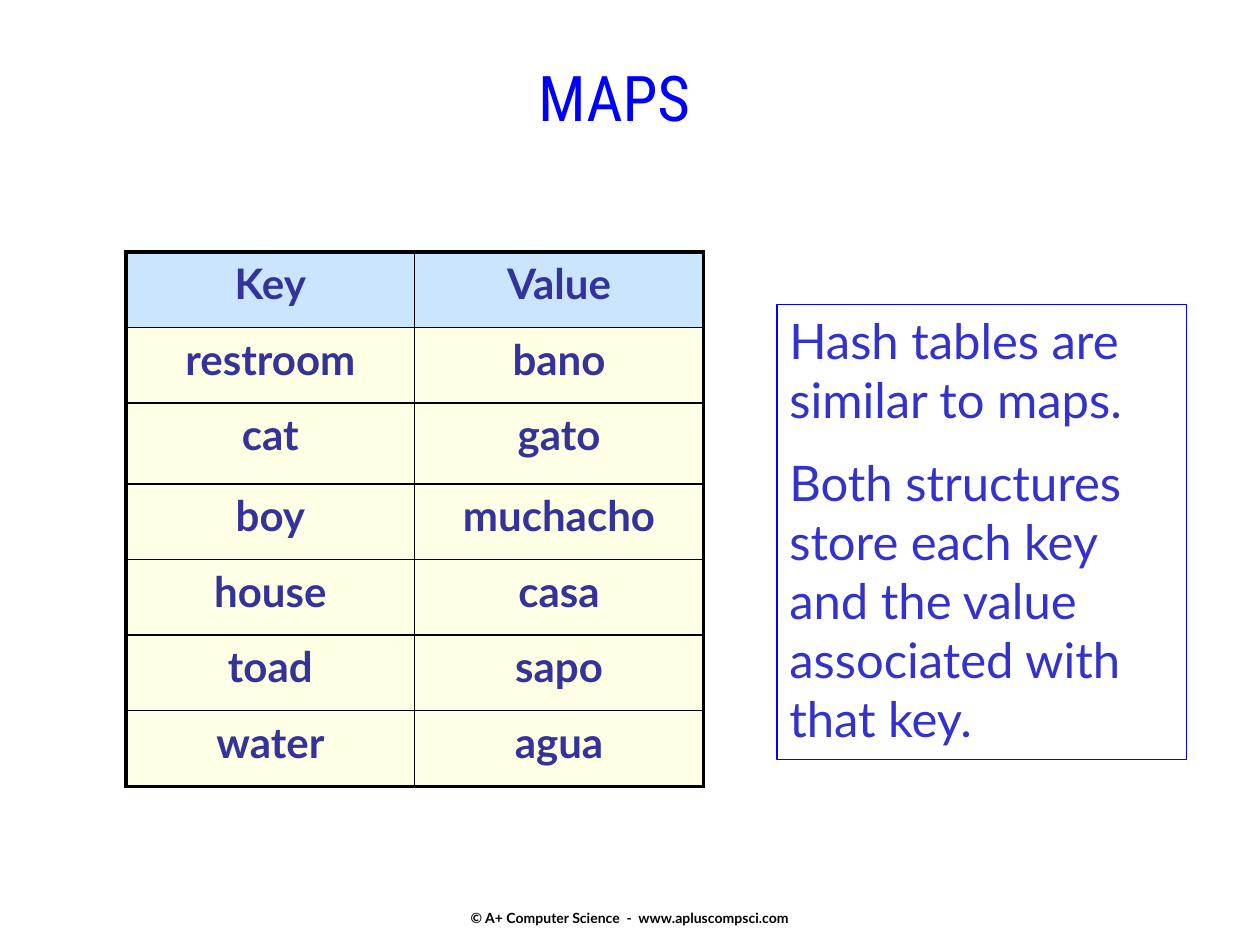
"""Builds the slide on maps: a key-value table beside a note on hash tables."""
from lxml import etree
from pptx import Presentation
from pptx.dml.color import RGBColor
from pptx.enum.text import MSO_ANCHOR, MSO_AUTO_SIZE, PP_ALIGN
from pptx.oxml.ns import qn
from pptx.util import Pt

LEFT, CENTER = PP_ALIGN.LEFT, PP_ALIGN.CENTER
TOP, MIDDLE = MSO_ANCHOR.TOP, MSO_ANCHOR.MIDDLE
FIXED, GROW = MSO_AUTO_SIZE.NONE, MSO_AUTO_SIZE.SHAPE_TO_FIT_TEXT

BLACK = RGBColor(0x00, 0x00, 0x00)
BLUE = RGBColor(0x00, 0x00, 0xFF)
INDIGO = RGBColor(0x33, 0x33, 0xCC)
NAVY = RGBColor(0x33, 0x33, 0x99)
SKY = RGBColor(0x99, 0xCC, 0xFF)
CREAM = RGBColor(0xFF, 0xFF, 0xCC)

WORDS = [
    ("Key", "Value"),
    ("restroom", "bano"),
    ("cat", "gato"),
    ("boy", "muchacho"),
    ("house", "casa"),
    ("toad", "sapo"),
    ("water", "agua"),
]
ROW_HEIGHTS = [43.2, 43.2, 46.08, 43.2, 43.2, 43.2, 43.2]
NOTE = [
    "Hash tables are similar to maps.",
    "Both structures store each key and the value associated with that key.",
]


def write(frame, *lines, size, color, font="Lato", bold=False, align=LEFT, gap=0):
    for index, line in enumerate(lines):
        paragraph = frame.add_paragraph() if index else frame.paragraphs[0]
        paragraph.alignment = align
        paragraph.space_before = Pt(gap if index else 0)
        run = paragraph.add_run()
        run.text = line
        run.font.name, run.font.size, run.font.bold = font, Pt(size), bold
        run.font.color.rgb = color


def set_borders(cell, widths):
    properties = cell._tc.get_or_add_tcPr()
    for index, (side, width) in enumerate(widths.items()):
        border = etree.Element(qn(f"a:ln{side}"), w=str(Pt(width)))
        fill = etree.SubElement(border, qn("a:solidFill"))
        etree.SubElement(fill, qn("a:srgbClr"), val=str(BLACK))
        properties.insert(index, border)


def set_tint(cell, color):
    cell.fill.solid()
    cell.fill.fore_color.rgb = color
    swatch = cell._tc.tcPr.find(f".//{qn('a:srgbClr')}")
    etree.SubElement(swatch, qn("a:alpha"), val="50000")


class Deck:
    def __init__(self, width, height):
        self.presentation = Presentation()
        self.presentation.slide_width = Pt(width)
        self.presentation.slide_height = Pt(height)
        layout = self.presentation.slide_layouts[5]
        self.slide = self.presentation.slides.add_slide(layout)

    def title(self, text, left, top, width, height):
        heading = self.slide.shapes.title
        heading.left, heading.top = Pt(left), Pt(top)
        heading.width, heading.height = Pt(width), Pt(height)
        frame = heading.text_frame
        frame.word_wrap, frame.auto_size = False, FIXED
        frame.vertical_anchor = TOP
        write(frame, text, size=36, color=BLUE, font="Roboto Condensed", align=CENTER)

    def table(self, rows, heights, left, top, width):
        last_row, last_column = len(rows) - 1, len(rows[0]) - 1
        frame = self.slide.shapes.add_table(
            len(rows), len(rows[0]), Pt(left), Pt(top), Pt(width), Pt(sum(heights)))
        grid = frame.table
        grid.first_row = grid.horz_banding = False
        for r, (words, height) in enumerate(zip(rows, heights)):
            grid.rows[r].height = Pt(height)
            for c, word in enumerate(words):
                cell = grid.cell(r, c)
                edges = {"L": c == 0, "R": c == last_column, "T": r == 0, "B": r == last_row}
                set_tint(cell, CREAM if r else SKY)
                set_borders(cell, {side: 2.25 if outer else 1 for side, outer in edges.items()})
                write(cell.text_frame, word, size=24, color=NAVY, bold=True, align=CENTER)

    def note(self, lines, left, top, width, height):
        panel = self.slide.shapes.add_textbox(Pt(left), Pt(top), Pt(width), Pt(height))
        panel.line.color.rgb, panel.line.width = BLUE, Pt(0.75)
        panel.text_frame.word_wrap, panel.text_frame.auto_size = True, GROW
        write(panel.text_frame, *lines, size=28, color=INDIGO, gap=14)

    def footer(self, text, left, top, width, height):
        credit = self.slide.shapes.add_textbox(Pt(left), Pt(top), Pt(width), Pt(height))
        credit.text_frame.word_wrap = False
        credit.text_frame.vertical_anchor = MIDDLE
        write(credit.text_frame, text, size=8, color=BLACK, bold=True, align=CENTER)

    def save(self):
        self.presentation.save("out.pptx")


def main():
    deck = Deck(720, 540)
    deck.footer("© A+ Computer Science  -  www.apluscompsci.com", 246, 515, 228, 19)
    deck.table(WORDS, ROW_HEIGHTS, 72, 144, 330)
    deck.title("MAPS", 144, 30, 414, 60)
    deck.note(NOTE, 444, 174, 234, 260)
    deck.save()


if __name__ == "__main__":
    main()
